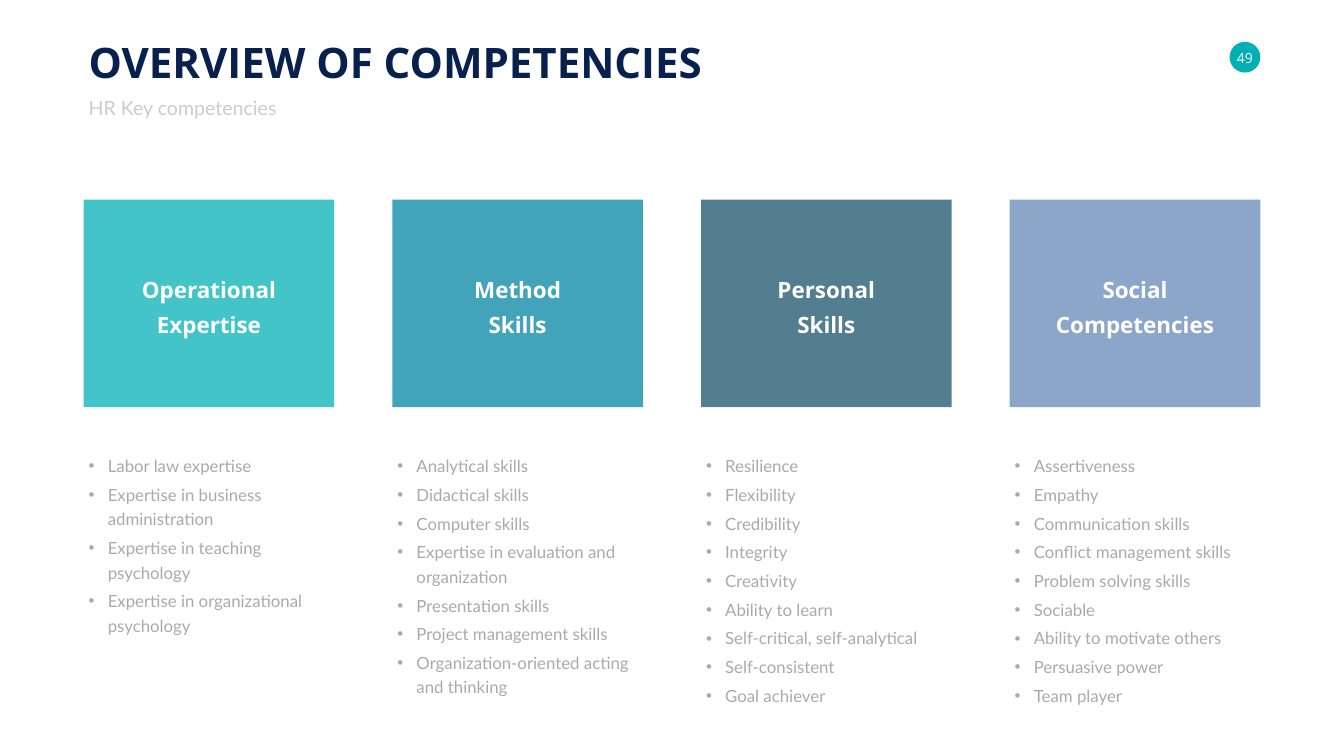
from lxml import etree
from pptx import Presentation
from pptx.dml.color import RGBColor
from pptx.enum.shapes import MSO_SHAPE as Preset
from pptx.enum.text import MSO_ANCHOR as Anchor, MSO_AUTO_SIZE as AutoSize, PP_ALIGN as Align
from pptx.oxml.ns import qn
from pptx.util import Inches, Pt

TITLE = "OVERVIEW OF COMPETENCIES"
SUBTITLE = "HR Key competencies"
PAGE_NUMBER = "49"
COMPETENCIES = [
    {
        "heading": ["Operational", "Expertise"],
        "heading_width": 2.89,
        "color": "00B0B5",
        "list_height": 4.31,
        "skills": [
            "Labor law expertise",
            "Expertise in business administration",
            "Expertise in teaching psychology",
            "Expertise in organizational psychology",
        ],
    },
    {
        "heading": ["Method", "Skills"],
        "heading_width": 1.94,
        "color": "0085A4",
        "list_height": 4.97,
        "skills": [
            "Analytical skills",
            "Didactical skills",
            "Computer skills",
            "Expertise in evaluation and organization",
            "Presentation skills",
            "Project management skills",
            "Organization-oriented acting and thinking",
        ],
    },
    {
        "heading": ["Personal", "Skills"],
        "heading_width": 2.16,
        "color": "18526A",
        "list_height": 5.14,
        "skills": [
            "Resilience",
            "Flexibility",
            "Credibility",
            "Integrity",
            "Creativity",
            "Ability to learn",
            "Self-critical, self-analytical",
            "Self-consistent",
            "Goal achiever",
        ],
    },
    {
        "heading": ["Social", "Competencies"],
        "heading_width": 3.36,
        "color": "6488B7",
        "list_height": 5.14,
        "skills": [
            "Assertiveness",
            "Empathy",
            "Communication skills",
            "Conflict management skills",
            "Problem solving skills",
            "Sociable",
            "Ability to motivate others",
            "Persuasive power",
            "Team player",
        ],
    },
]

LEFT, RIGHT = 1.66, 25
CARD_TOP, CARD_WIDTH, CARD_HEIGHT = 3.96, 4.97, 4.12
HEADING_HEIGHT = 1.44
LIST_TOP = 8.91
CARD_OPACITY = 74
BULLET_INDENT = 0.38


def rgb(color):
    return RGBColor.from_string(color)


def add_filled_shape(slide, preset, box, color, opacity=100):
    shape = slide.shapes.add_shape(preset, *map(Inches, box))
    shape.shadow.inherit = False
    shape.fill.solid()
    shape.fill.fore_color.rgb = rgb(color)
    shape.line.fill.background()
    if opacity < 100:
        color_element = shape.fill._xPr.find(".//" + qn("a:srgbClr"))
        etree.SubElement(color_element, qn("a:alpha"), val=str(opacity * 1000))


def add_bullet(paragraph):
    properties = paragraph._p.get_or_add_pPr()
    properties.set("marL", str(Inches(BULLET_INDENT)))
    properties.set("indent", str(-Inches(BULLET_INDENT)))
    etree.SubElement(properties, qn("a:buFont"), typeface="Arial")
    etree.SubElement(properties, qn("a:buChar"), char="•")


def add_text(slide, box, lines, size, font, color, bold=False, align=Align.LEFT,
             anchor=Anchor.TOP, spacing=None, wrap=False, bullets=False, inset=None):
    frame = slide.shapes.add_textbox(*map(Inches, box)).text_frame
    frame.word_wrap = wrap
    frame.auto_size = AutoSize.SHAPE_TO_FIT_TEXT
    frame.vertical_anchor = anchor
    if inset is not None:
        frame.margin_left = frame.margin_right = Inches(inset)
        frame.margin_top = frame.margin_bottom = Inches(inset)
    for index, line in enumerate(lines):
        paragraph = frame.add_paragraph() if index else frame.paragraphs[0]
        paragraph.alignment = align
        if spacing:
            paragraph.line_spacing = Pt(spacing)
        if bullets:
            paragraph.space_before = Pt(6)
            add_bullet(paragraph)
        run = paragraph.add_run()
        run.text = line
        run.font.size = Pt(size)
        run.font.name = font
        run.font.bold = bold
        run.font.color.rgb = rgb(color)


def add_competency(slide, left, competency):
    add_filled_shape(slide, Preset.RECTANGLE, (left, CARD_TOP, CARD_WIDTH, CARD_HEIGHT),
                     competency["color"], CARD_OPACITY)
    width = competency["heading_width"]
    heading_left = left + (CARD_WIDTH - width) / 2
    heading_top = CARD_TOP + (CARD_HEIGHT - HEADING_HEIGHT) / 2
    add_text(slide, (heading_left, heading_top, width, HEADING_HEIGHT), competency["heading"],
             32, "Open Sans", "FFFFFF", bold=True, align=Align.CENTER,
             anchor=Anchor.MIDDLE, spacing=50)
    add_text(slide, (left, LIST_TOP, CARD_WIDTH, competency["list_height"]),
             competency["skills"], 24, "Lato", "AAAAAA", spacing=35, wrap=True, bullets=True)


def main():
    presentation = Presentation()
    presentation.slide_width = Inches(26.66)
    presentation.slide_height = Inches(15)
    slide = presentation.slides.add_slide(presentation.slide_layouts[6])

    add_filled_shape(slide, Preset.OVAL, (24.39, 0.83, 0.61, 0.61), "00B0B5")
    add_text(slide, (24.52, 0.97, 0.35, 0.34), [PAGE_NUMBER], 20, "Open Sans", "FFFFFF",
             align=Align.CENTER, anchor=Anchor.MIDDLE, inset=0)
    add_text(slide, (LEFT, 0.67, 12.49, 1.11), [TITLE], 60, "Open Sans", "08204D", bold=True)
    add_text(slide, (LEFT, 1.84, 4, 0.55), [SUBTITLE], 28, "Lato", "CCCCCC", spacing=35)

    pitch = (RIGHT - LEFT - CARD_WIDTH) / (len(COMPETENCIES) - 1)
    for column, competency in enumerate(COMPETENCIES):
        add_competency(slide, LEFT + column * pitch, competency)

    presentation.save("out.pptx")


if __name__ == "__main__":
    main()
